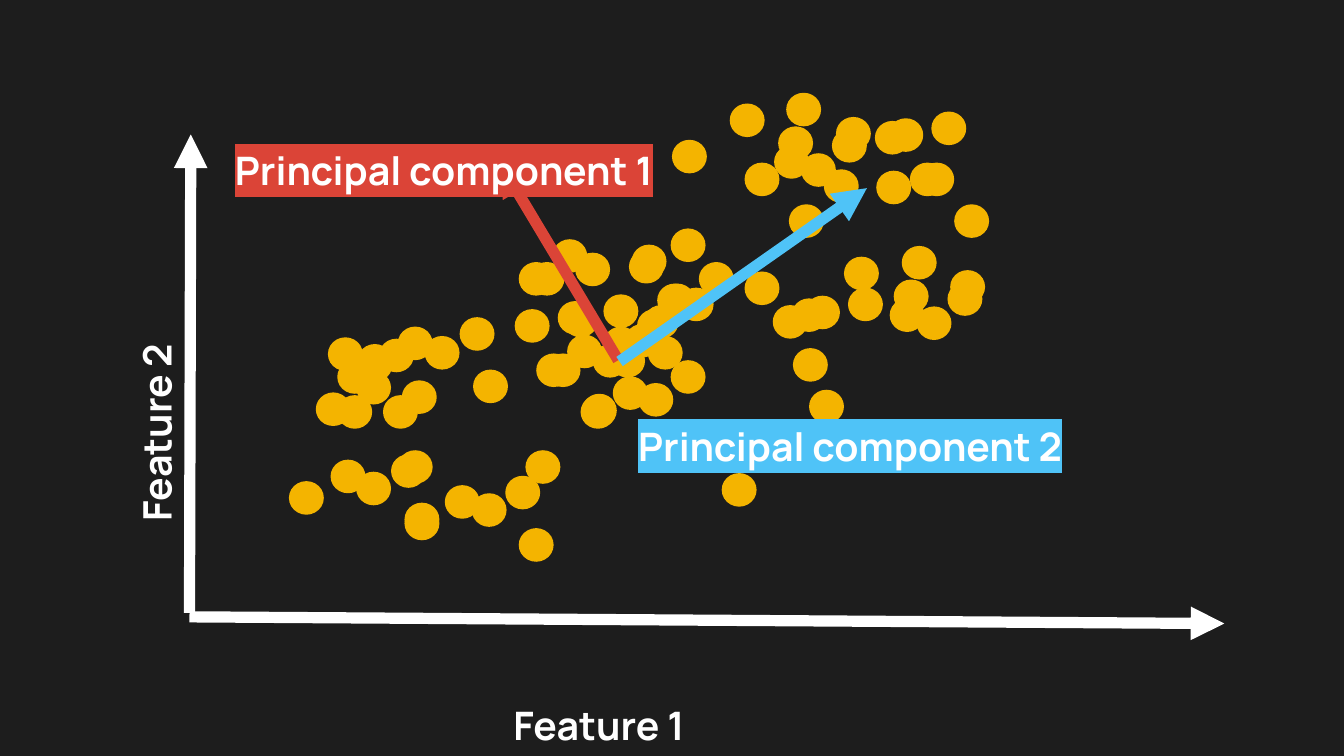
from pptx import Presentation
from pptx.dml.color import RGBColor
from pptx.enum.shapes import MSO_CONNECTOR, MSO_SHAPE
from pptx.enum.text import MSO_ANCHOR, MSO_AUTO_SIZE, PP_ALIGN
from pptx.oxml.ns import qn
from pptx.util import Pt
from lxml.etree import SubElement

PX = 9144  # EMU in one px, 100 px to the inch
WHITE, RED, BLUE, YELLOW = "FFFFFF", "DB4437", "4FC3F7", "F4B400"


def color(hex_string):
    return RGBColor.from_string(hex_string)


def add_arrow(x1, y1, x2, y2, line_color):
    arrow = slide.shapes.add_connector(
        MSO_CONNECTOR.STRAIGHT, x1 * PX, y1 * PX, x2 * PX, y2 * PX)
    arrow.line.color.rgb = color(line_color)
    arrow.line.width = Pt(6)
    SubElement(arrow.line._get_or_add_ln(), qn("a:tailEnd"), type="triangle")
    SubElement(arrow._element.spPr, qn("a:effectLst"))


# Slide in 16:9 with a dark background
presentation = Presentation()
presentation.slide_width = 1000 * PX
presentation.slide_height = presentation.slide_width * 9 // 16
slide = presentation.slides.add_slide(presentation.slide_layouts[5])
slide.background.fill.solid()
slide.background.fill.fore_color.rgb = color("1D1D1D")

# Axes
add_arrow(141, 456, 142, 100, WHITE)
add_arrow(141, 459, 911, 464, WHITE)

# Data points: left and top of each dot
lower_left_points = [
    (265, 351), (215, 358), (285, 294), (235, 292), (291, 338), (301, 377),
    (296, 335), (246, 342), (244, 251), (265, 276), (251, 294), (331, 361),
    (351, 367), (301, 374), (299, 283), (391, 335), (376, 354), (386, 393),
    (251, 268), (266, 259), (282, 252), (296, 243), (316, 250), (266, 256),
    (342, 236), (352, 275),
]
middle_points = [
    (449, 243), (468, 186), (489, 211), (474, 230), (479, 227), (499, 170),
    (520, 195), (505, 214), (428, 188), (454, 256), (470, 182), (394, 195),
    (419, 226), (411, 178), (386, 195), (465, 241), (475, 285), (491, 211),
    (383, 230), (415, 224), (441, 256), (456, 280), (482, 250), (406, 263),
    (432, 294), (422, 249), (433, 293), (449, 219), (499, 268), (399, 263),
]
upper_right_points = [
    (585, 69), (596, 114), (622, 87), (661, 88), (693, 83), (500, 104),
    (576, 108), (587, 152), (613, 126), (652, 127), (684, 121), (710, 152),
    (543, 77), (554, 121), (579, 94), (619, 96), (651, 90), (677, 121),
]
right_points = [
    (554, 202), (575, 227), (671, 183), (682, 228), (707, 201), (599, 220),
    (631, 214), (662, 222), (590, 259), (628, 191), (665, 208), (705, 210),
    (589, 222), (537, 352), (603, 326), (602, 290),
]
for left, top in lower_left_points + middle_points + upper_right_points + right_points:
    dot = slide.shapes.add_shape(
        MSO_SHAPE.OVAL, left * PX, top * PX, 26 * PX, 25 * PX)
    dot.shadow.inherit = False
    dot.fill.solid()
    dot.fill.fore_color.rgb = color(YELLOW)
    dot.line.fill.background()

# Principal component arrows
add_arrow(460, 268, 372, 121, RED)
add_arrow(461, 269, 645, 140, BLUE)

# Labels: the first one fills the title placeholder
labels = [
    ("Feature 1", 372, 454, 192, 0, None),
    ("Feature 2", -9, 245, 192, 270, None),
    ("Principal component 1", 165, 41, 336, 0, RED),
    ("Principal component 2", 465, 246, 336, 0, BLUE),
]
for index, (text, left, top, width, rotation, highlight) in enumerate(labels):
    label = slide.shapes.title if index == 0 else slide.shapes.add_textbox(0, 0, 0, 0)
    label.left, label.top = left * PX, top * PX
    label.width, label.height = width * PX, 113 * PX
    label.rotation = rotation

    frame = label.text_frame
    frame.word_wrap = True
    frame.auto_size = MSO_AUTO_SIZE.NONE
    frame.vertical_anchor = MSO_ANCHOR.BOTTOM
    frame.margin_left = frame.margin_right = 10 * PX
    frame.margin_top = frame.margin_bottom = 10 * PX

    paragraph = frame.paragraphs[0]
    paragraph.alignment = PP_ALIGN.LEFT
    paragraph.line_spacing = 1.5
    paragraph.space_before = paragraph.space_after = Pt(10)

    run = paragraph.add_run()
    run.text = text
    run.font.size = Pt(21)
    run.font.bold = True
    run.font.color.rgb = color(WHITE)
    if highlight:
        marker = SubElement(run.font._element, qn("a:highlight"))
        SubElement(marker, qn("a:srgbClr"), val=highlight)
    run.font.name = "Manrope"

presentation.save("out.pptx")
